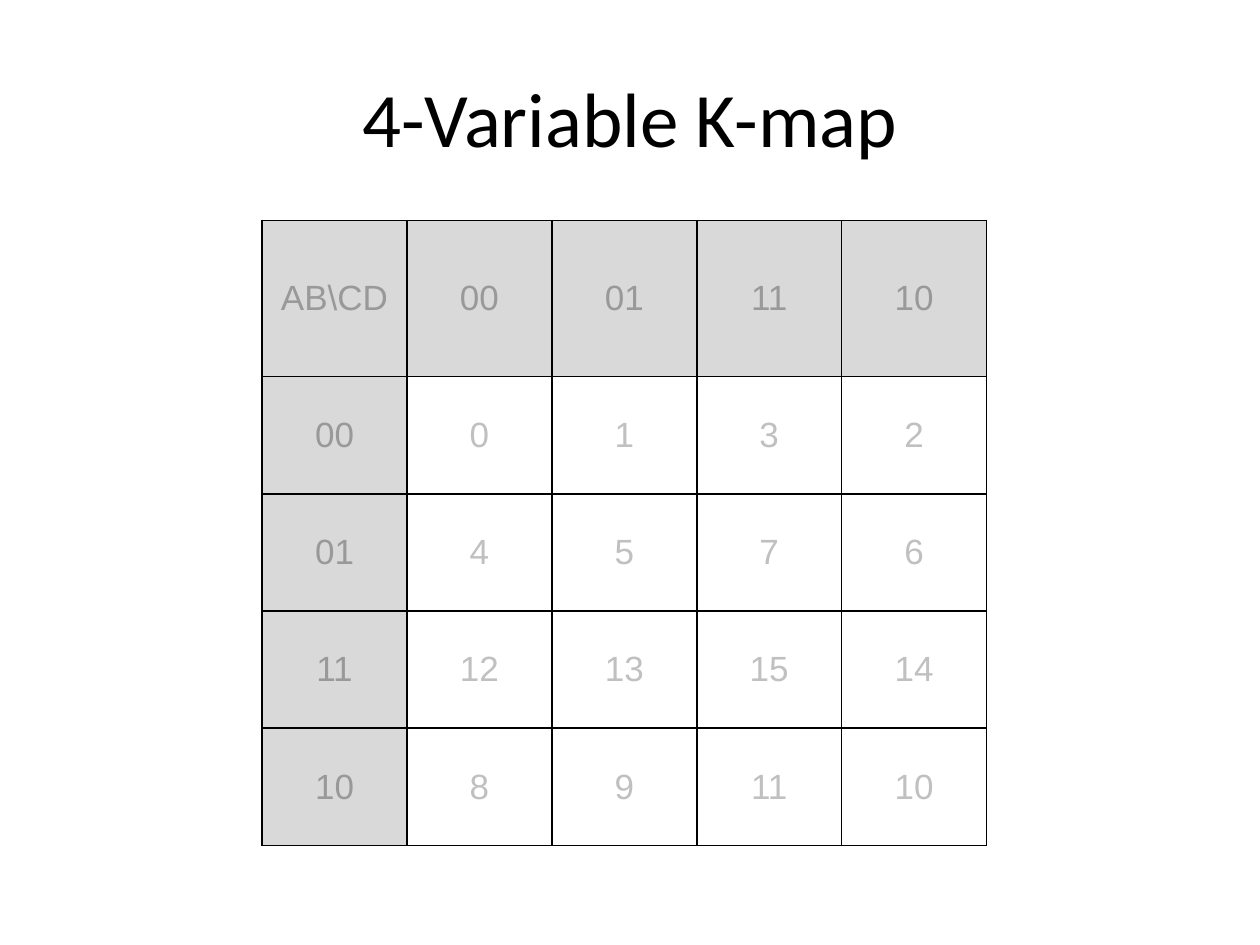
import pptx
import pptx.util
import pptx.dml.color
import pptx.enum.text
import lxml.etree as etree
from pptx.oxml.ns import qn

Inches, Pt = pptx.util.Inches, pptx.util.Pt
RGB = pptx.dml.color.RGBColor
ALIGN = pptx.enum.text.PP_ALIGN
MID = pptx.enum.text.MSO_ANCHOR.MIDDLE

# Content: each cell holds the minterm number of its AB and CD bits
TITLE = "4-Variable K-map"
CORNER = "AB\\CD"
GRAY = ["00", "01", "11", "10"]
ROWS = [[CORNER] + GRAY] + [
    [ab] + [str(int(ab + cd, 2)) for cd in GRAY] for ab in GRAY
]

# Look
BLACK = RGB(0x00, 0x00, 0x00)
WHITE = RGB(0xFF, 0xFF, 0xFF)
SHADE = RGB(0xD9, 0xD9, 0xD9)
HEAD = RGB(0x99, 0x99, 0x99)
BODY = RGB(0xC0, 0xC0, 0xC0)
LEFT, TOP = 2.08, 1.75
COL_W, HEAD_H, ROW_H = 1.15, 1.24, 0.93


def style(frame, font, size, color):
    frame.vertical_anchor = MID
    para = frame.paragraphs[0]
    para.alignment = ALIGN.CENTER
    face = para.runs[0].font
    face.name, face.size, face.bold = font, Pt(size), False
    face.color.rgb = color


def border(cell, color, width):
    props = cell._tc.get_or_add_tcPr()
    for side in ("a:lnL", "a:lnR", "a:lnT", "a:lnB"):
        line = etree.SubElement(props, qn(side), w=str(Pt(width)))
        fill = etree.SubElement(line, qn("a:solidFill"))
        etree.SubElement(fill, qn("a:srgbClr"), val=str(color))


def main():
    prs = pptx.Presentation()
    prs.slide_width, prs.slide_height = Inches(10), Inches(7.5)
    slide = prs.slides.add_slide(prs.slide_layouts[5])

    # Title
    title = slide.shapes.title
    title.left, title.top = Inches(0.5), Inches(0.3)
    title.width, title.height = Inches(9), Inches(1.25)
    title.text_frame.text = TITLE
    style(title.text_frame, "Calibri", 44, BLACK)

    # Map grid
    count = len(ROWS)
    table = slide.shapes.add_table(
        count, count, Inches(LEFT), Inches(TOP),
        Inches(COL_W * count), Inches(HEAD_H + ROW_H * (count - 1)),
    ).table
    table.first_row = table.horz_banding = False
    for col in table.columns:
        col.width = Inches(COL_W)
    for r, row in enumerate(ROWS):
        table.rows[r].height = Inches(ROW_H if r else HEAD_H)
        for c, text in enumerate(row):
            cell = table.cell(r, c)
            is_head = r == 0 or c == 0
            border(cell, BLACK, 1)
            cell.fill.solid()
            cell.fill.fore_color.rgb = SHADE if is_head else WHITE
            cell.text_frame.text = text
            style(cell.text_frame, "Arial", 20, HEAD if is_head else BODY)
            cell.vertical_anchor = MID

    prs.save("out.pptx")


if __name__ == "__main__":
    main()
